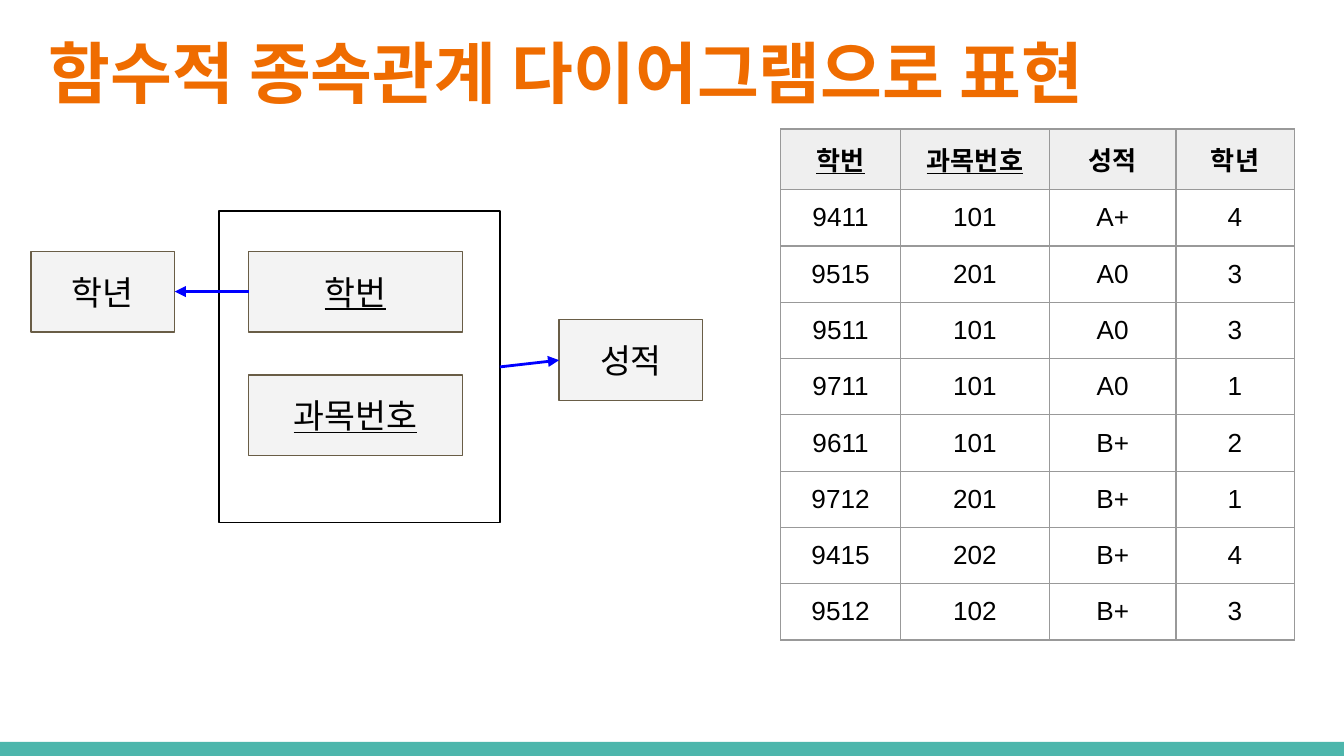
from dataclasses import dataclass
from typing import Optional

from lxml.etree import SubElement
from pptx import Presentation
from pptx.dml.color import RGBColor
from pptx.enum.shapes import MSO_CONNECTOR, MSO_SHAPE
from pptx.enum.text import MSO_ANCHOR, PP_ALIGN
from pptx.oxml.ns import qn
from pptx.util import Inches, Pt


@dataclass(frozen=True)
class Theme:
    """Colours, fonts and sizes of the slide."""
    title: str = "EF6C00"
    ink: str = "000000"
    bar: str = "4DB6AC"
    box_fill: str = "F3F3F3"
    box_line: str = "695D46"
    arrow: str = "0000FF"
    header_fill: str = "EFEFEF"
    grid: str = "999999"
    title_font: str = "Arial Narrow"
    body_font: str = "Arial"
    title_size: int = 36
    box_size: int = 18
    cell_size: int = 14
    thin: float = 0.75
    thick: float = 1.5
    inset: float = 0.1


@dataclass(frozen=True)
class Box:
    """A rectangle, optionally filled, outlined and labelled."""
    left: float
    top: float
    width: float
    height: float
    label: str = ""
    fill: Optional[str] = None
    line: Optional[str] = None
    underline: bool = False


THEME = Theme()
KEYS = ("학번", "과목번호")
HEADER = (*KEYS, "성적", "학년")
RECORDS = (
    ("9411", "101", "A+", "4"),
    ("9515", "201", "A0", "3"),
    ("9511", "101", "A0", "3"),
    ("9711", "101", "A0", "1"),
    ("9611", "101", "B+", "2"),
    ("9712", "201", "B+", "1"),
    ("9415", "202", "B+", "4"),
    ("9512", "102", "B+", "3"),
)
COLUMN_WIDTHS = (0.89, 1.11, 0.94, 0.88)
HEADER_HEIGHT, ROW_HEIGHT = 0.42, 0.39
TOP_SITE, LEFT_SITE, BOTTOM_SITE, RIGHT_SITE = range(4)


def color(value):
    """Turn a hex string into a colour."""
    return RGBColor.from_string(value)


def style_paragraph(para, size, align=PP_ALIGN.CENTER, name=THEME.body_font,
                    ink=THEME.ink, bold=False, underline=False):
    """Set alignment and one font, also for Korean text, on a paragraph."""
    para.alignment = align
    font = para.font
    font.size, font.name = Pt(size), name
    font.bold, font.underline = bold, underline
    font.color.rgb = color(ink)
    properties = para._p.pPr.find(qn("a:defRPr"))
    SubElement(properties, qn("a:ea")).set("typeface", name)


def set_insets(target):
    """Give a text frame or a cell equal margins."""
    target.margin_left = target.margin_right = Inches(THEME.inset)
    target.margin_top = target.margin_bottom = Inches(THEME.inset)


def add_title(page, text):
    """Place and format the title."""
    title = page.shapes.title
    title.left, title.top = Inches(0.26), Inches(0.15)
    title.width, title.height = Inches(9.32), Inches(0.77)
    frame = title.text_frame
    frame.text = text
    frame.word_wrap = True
    frame.vertical_anchor = MSO_ANCHOR.MIDDLE
    set_insets(frame)
    style_paragraph(frame.paragraphs[0], THEME.title_size, PP_ALIGN.LEFT,
                    THEME.title_font, THEME.title, bold=True)


def add_box(page, box: Box):
    """Draw a rectangle and return it."""
    shape = page.shapes.add_shape(
        MSO_SHAPE.RECTANGLE, Inches(box.left), Inches(box.top),
        Inches(box.width), Inches(box.height))
    shape.shadow.inherit = False
    if box.fill:
        shape.fill.solid()
        shape.fill.fore_color.rgb = color(box.fill)
    else:
        shape.fill.background()
    if box.line:
        shape.line.color.rgb = color(box.line)
        shape.line.width = Pt(THEME.thin)
    else:
        shape.line.fill.background()
    if box.label:
        frame = shape.text_frame
        frame.text = box.label
        frame.word_wrap = True
        frame.vertical_anchor = MSO_ANCHOR.MIDDLE
        set_insets(frame)
        style_paragraph(frame.paragraphs[0], THEME.box_size,
                        underline=box.underline)
    return shape


def add_attribute(page, label: str, left: float, top: float):
    """Draw an attribute box; key attributes are wider and underlined."""
    key = label in KEYS
    return add_box(page, Box(left, top, 1.59 if key else 1.07, 0.6, label,
                             THEME.box_fill, THEME.box_line, key))


def add_arrow(page, start, start_site: int, end, end_site: int):
    """Join two shapes with an arrow."""
    arrow = page.shapes.add_connector(MSO_CONNECTOR.STRAIGHT, 0, 0, 0, 0)
    arrow.begin_connect(start, start_site)
    arrow.end_connect(end, end_site)
    arrow.line.color.rgb = color(THEME.arrow)
    arrow.line.width = Pt(THEME.thick)
    SubElement(arrow.line._get_or_add_ln(), qn("a:tailEnd")).set("type", "triangle")
    SubElement(arrow._element.spPr, qn("a:effectLst"))


def add_borders(cell):
    """Outline all four sides of a cell."""
    properties = cell._tc.get_or_add_tcPr()
    for index, side in enumerate(("lnL", "lnR", "lnT", "lnB")):
        line = properties.makeelement(qn(f"a:{side}"), {"w": str(Pt(THEME.thin))})
        fill = SubElement(line, qn("a:solidFill"))
        SubElement(fill, qn("a:srgbClr")).set("val", THEME.grid)
        properties.insert(index, line)


def fill_cell(cell, text: str, header: bool):
    """Write and format one table cell."""
    cell.text = text
    set_insets(cell)
    para = cell.text_frame.paragraphs[0]
    style_paragraph(para, THEME.cell_size, bold=header, underline=text in KEYS)
    if header:
        para.line_spacing = 1.15
        cell.fill.solid()
        cell.fill.fore_color.rgb = color(THEME.header_fill)
    else:
        cell.fill.background()
    add_borders(cell)


def add_grades(page):
    """Draw the table of grades."""
    rows = (HEADER, *RECORDS)
    height = HEADER_HEIGHT + ROW_HEIGHT * len(RECORDS)
    table = page.shapes.add_table(
        len(rows), len(HEADER), Inches(5.81), Inches(0.96),
        Inches(sum(COLUMN_WIDTHS)), Inches(height)).table
    table.first_row = table.horz_banding = False
    for column, width in zip(table.columns, COLUMN_WIDTHS):
        column.width = Inches(width)
    for index, (row, texts) in enumerate(zip(table.rows, rows)):
        row.height = Inches(ROW_HEIGHT if index else HEADER_HEIGHT)
        for cell, text in zip(row.cells, texts):
            fill_cell(cell, text, header=index == 0)


def main():
    """Build and save the slide."""
    deck = Presentation()
    deck.slide_width, deck.slide_height = Inches(10), Inches(5.625)
    page = deck.slides.add_slide(deck.slide_layouts[5])
    add_box(page, Box(0, 5.52, 10, 0.11, fill=THEME.bar))
    key_frame = add_box(page, Box(1.63, 1.57, 2.09, 2.32, line=THEME.ink))
    add_title(page, "함수적 종속관계 다이어그램으로 표현")
    add_grades(page)
    student = add_attribute(page, "학번", 1.85, 1.87)
    add_attribute(page, "과목번호", 1.85, 2.79)
    year = add_attribute(page, "학년", 0.23, 1.87)
    grade = add_attribute(page, "성적", 4.16, 2.38)
    add_arrow(page, student, LEFT_SITE, year, RIGHT_SITE)
    add_arrow(page, key_frame, RIGHT_SITE, grade, LEFT_SITE)
    deck.save("out.pptx")


main()
